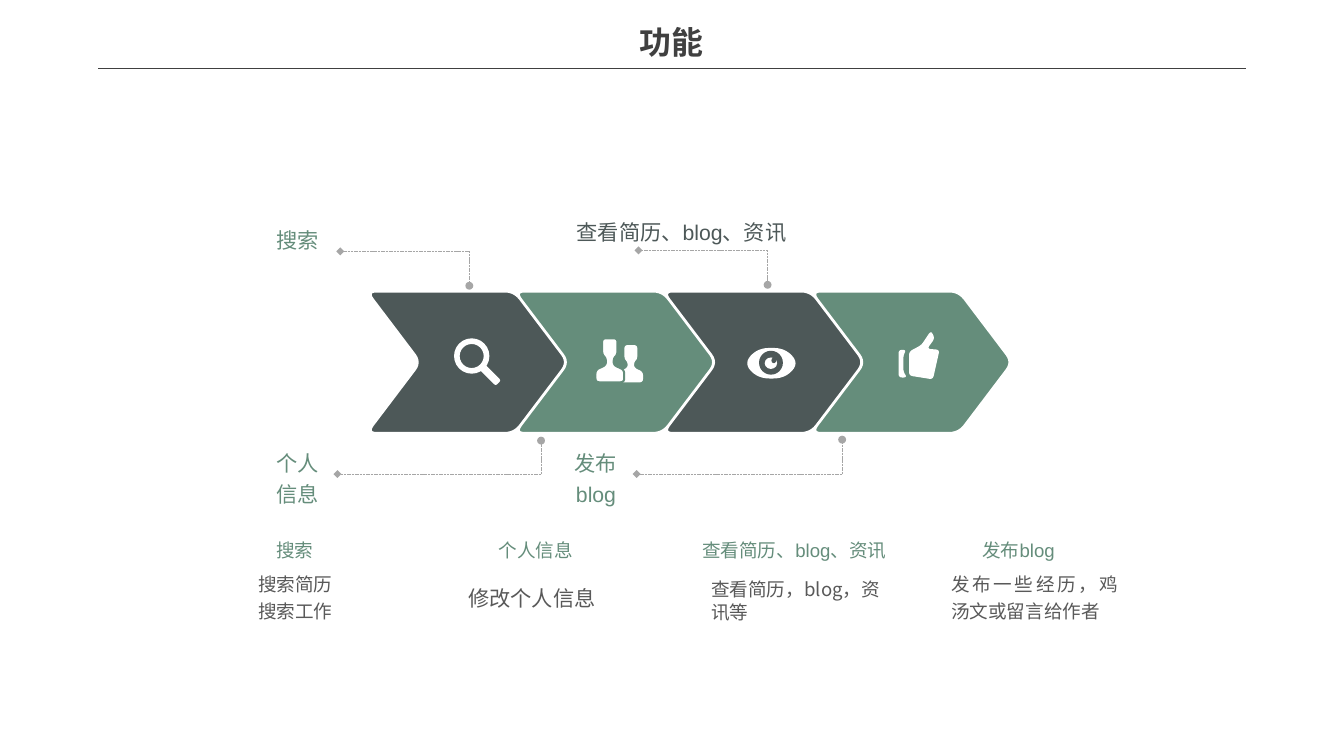
from lxml.etree import SubElement
from pptx import Presentation
from pptx.dml.color import RGBColor
from pptx.enum.dml import MSO_LINE
from pptx.enum.shapes import MSO_CONNECTOR, MSO_SHAPE as SH
from pptx.enum.text import MSO_ANCHOR, MSO_AUTO_SIZE, PP_ALIGN as AL
from pptx.oxml.ns import qn
from pptx.util import Pt

PX = 9144  # EMU in one px, 100 px to the inch
STEPS = 6  # straight pieces in one rounded corner
COLORS = {"slate": "4D5858", "green": "658D7B", "white": "FFFFFF",
          "rule": "A6A6A6", "body": "595959", "title": "404040"}
RGB = {name: RGBColor.from_string(code) for name, code in COLORS.items()}


def draw_rounded(corners, cut, fill, line=None):
    """Draw a polygon whose corners are rounded, starting cut px from each."""
    points = []
    for i, (x, y) in enumerate(corners):
        ends = []
        for nx, ny in (corners[i - 1], corners[(i + 1) % len(corners)]):
            length = ((nx - x) ** 2 + (ny - y) ** 2) ** 0.5
            part = min(cut / length, 0.5)
            ends.append((x + (nx - x) * part, y + (ny - y) * part))
        (ax, ay), (bx, by) = ends
        for k in range(STEPS + 1):
            t = k / STEPS
            u = 1 - t
            points.append(((u * u * ax + 2 * u * t * x + t * t * bx) * PX,
                           (u * u * ay + 2 * u * t * y + t * t * by) * PX))
    builder = shapes.build_freeform(*points[0])
    builder.add_line_segments(points[1:])
    sp = builder.convert_to_shape()
    sp.shadow.inherit = False
    sp.fill.solid()
    sp.fill.fore_color.rgb = RGB[fill]
    if line:
        sp.line.color.rgb = RGB[line]
        sp.line.width = Pt(1.5)
    else:
        sp.line.fill.background()


def set_text(sp, box, lines, size, color, align, spacing=1.2, font="Arial",
             bold=False, insets=(0, 0)):
    sp.left, sp.top, sp.width, sp.height = (v * PX for v in box)
    tf = sp.text_frame
    side, end = (v * PX for v in insets)
    frame = {"word_wrap": True, "auto_size": MSO_AUTO_SIZE.NONE,
             "vertical_anchor": MSO_ANCHOR.TOP, "margin_left": side,
             "margin_right": side, "margin_top": end, "margin_bottom": end}
    for name, value in frame.items():
        setattr(tf, name, value)
    tf.text = "\n".join(lines)
    for p in tf.paragraphs:
        p.alignment, p.line_spacing = align, spacing
        for name, value in {"name": font, "size": Pt(size), "bold": bold}.items():
            setattr(p.font, name, value)
        p.font.color.rgb = RGB[color]


prs = Presentation()
prs.slide_width, prs.slide_height = 1406 * PX, 791 * PX
s = prs.slides.add_slide(prs.slide_layouts[5])
shapes = s.shapes

set_text(shapes.title, (536, 24, 333, 40), ["功能"], 24, "title", AL.CENTER,
         spacing=1.0, bold=True)

# Four chevrons in a row
top, middle, bottom = 305, 379, 453
for i in range(4):
    x = 384 + 155 * i
    chevron = [(x, top), (x + 154, top), (x + 210, middle),
               (x + 154, bottom), (x, bottom), (x + 56, middle)]
    draw_rounded(chevron, 10, ("slate", "green")[i % 2], "white")

# People: half a figure, mirrored; the front one is edged in its background
half = [(8, 0), (8, 17), (4, 21), (4, 28), (15, 33), (15, 46)]
for center, head_y, scale, edge in [(660, 361, 0.85, None), (638, 354, 1, "green")]:
    right = [(center + dx * scale, head_y + dy * scale) for dx, dy in half]
    left = [(2 * center - x, y) for x, y in reversed(right)]
    draw_rounded(right + left, 4, "white", edge)

# Thumb and cuff
draw_rounded([(951, 368), (964, 361), (974, 346), (978, 354), (970, 365),
              (983, 366), (976, 397), (951, 393)], 4, "white")
draw_rounded([(940, 366), (948, 366), (945, 372), (945, 389),
              (949, 395), (940, 395)], 4, "white")

# Eye
draw_rounded([(778, 380), (793, 364), (821, 364), (836, 380),
              (821, 396), (793, 396)], 12, "white")

# Magnifier, then iris, pupil and glint: shape, box, colour, turn, adjustment
parts = [
    (SH.DONUT, (475, 354, 37, 37), "white", 0, 0.16),
    (SH.ROUNDED_RECTANGLE, (500, 388, 25, 8), "white", 45, 0.3),
    (SH.OVAL, (794, 367, 25, 25), "slate", 0, None),
    (SH.OVAL, (800, 374, 13, 12), "white", 0, None),
    (SH.OVAL, (807, 374, 5, 6), "slate", 0, None),
]
for kind, box, color, turn, adjust in parts:
    sp = shapes.add_shape(kind, *(v * PX for v in box))
    sp.shadow.inherit = False
    sp.fill.solid()
    sp.fill.fore_color.rgb = RGB[color]
    sp.line.fill.background()
    sp.rotation = turn
    if adjust:
        sp.adjustments[0] = adjust

# Lines: start, end, colour, arrowhead at the end
lines = [((103, 71), (1303, 71), "title", None)]
callouts = [(491, 263, 299, 356), (566, 496, 461, 353),
            (803, 262, 298, 668), (881, 496, 460, 666)]
for x, bar_y, tip_y, label_x in callouts:
    lines.append(((x, bar_y), (x, tip_y), "rule", "oval"))
    lines.append(((x, bar_y), (label_x, bar_y), "rule", "diamond"))
for start, end, color, head in lines:
    c = shapes.add_connector(MSO_CONNECTOR.STRAIGHT, *(v * PX for v in start + end))
    c.line.color.rgb = RGB[color]
    c.line.width = Pt(0.5)
    spPr = c._element.spPr
    if head:
        c.line.dash_style = MSO_LINE.SQUARE_DOT
        SubElement(spPr.find(qn("a:ln")), qn("a:tailEnd"), type=head)
    SubElement(spPr, qn("a:effectLst"))

labels = [
    ((284, 233, 55, 32), ["搜索"], 16, "green", AL.CENTER),
    ((284, 466, 55, 65), ["个人信息"], 16, "green", AL.CENTER),
    ((585, 224, 256, 32), ["查看简历、blog、资讯"], 16, "slate", AL.CENTER),
    ((596, 466, 55, 65), ["发布blog"], 16, "green", AL.CENTER),
    ((238, 559, 141, 28), ["搜索"], 14, "green", AL.CENTER),
    ((490, 559, 141, 28), ["个人信息"], 14, "green", AL.CENTER),
    ((706, 559, 250, 28), ["查看简历、blog、资讯"], 14, "green", AL.CENTER),
    ((995, 559, 141, 28), ["发布blog"], 14, "green", AL.CENTER),
    ((270, 595, 175, 56), ["搜索简历", "搜索工作"], 14, "body", AL.JUSTIFY),
    ((490, 607, 175, 32), ["修改个人信息"], 16, "body", AL.JUSTIFY),
    ((995, 595, 175, 56), ["发布一些经历，鸡汤文或留言给作者"], 14, "body", AL.JUSTIFY),
    ((734, 600, 206, 57), ["查看简历，blog，资讯等"], 14, "body", AL.LEFT,
     1.0, "Noto Sans CJK SC", False, (10, 5)),
]
for label in labels:
    set_text(shapes.add_textbox(0, 0, 0, 0), *label)

prs.save("out.pptx")
